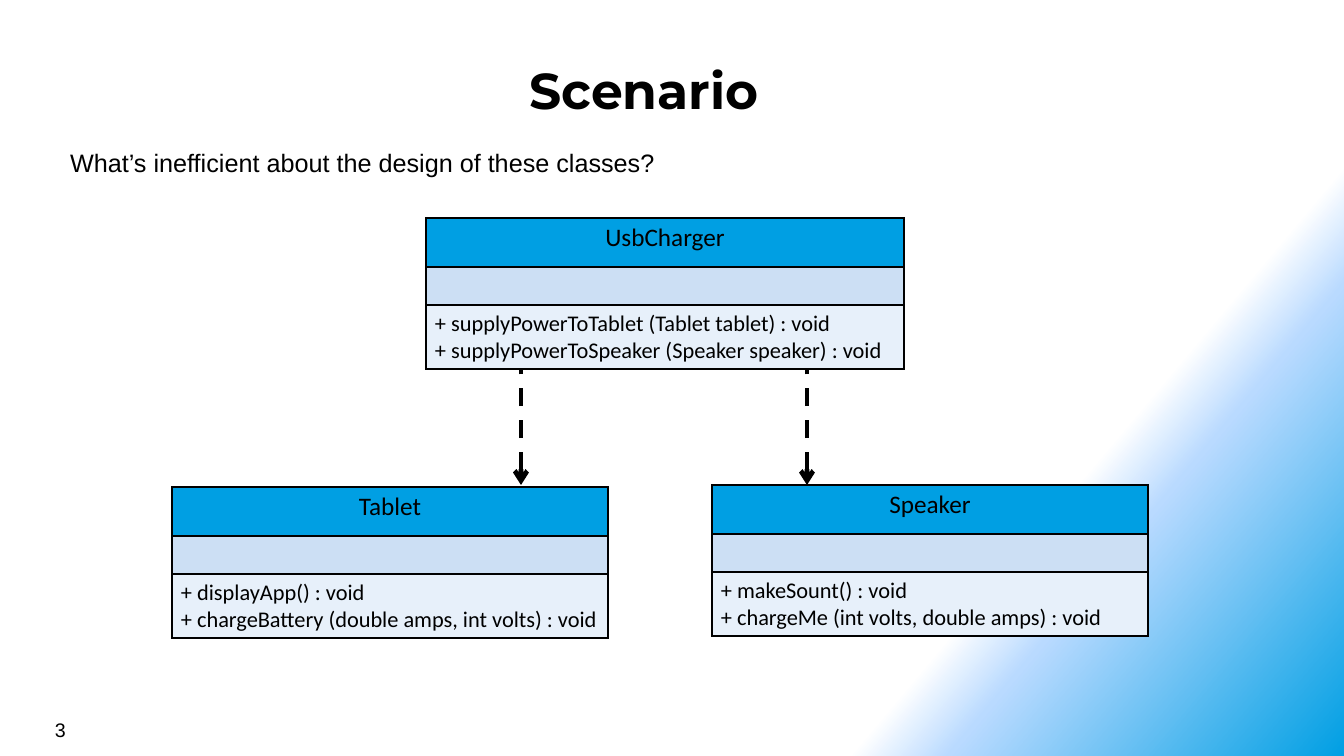
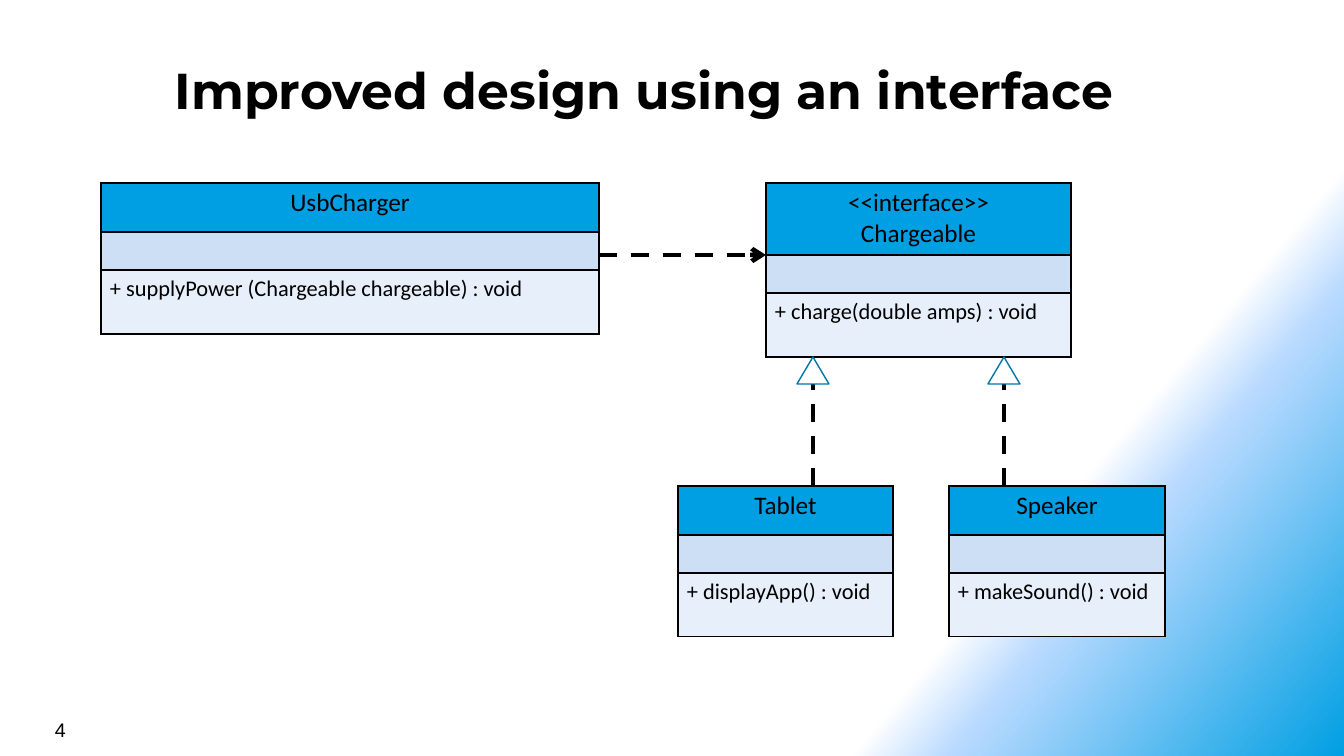
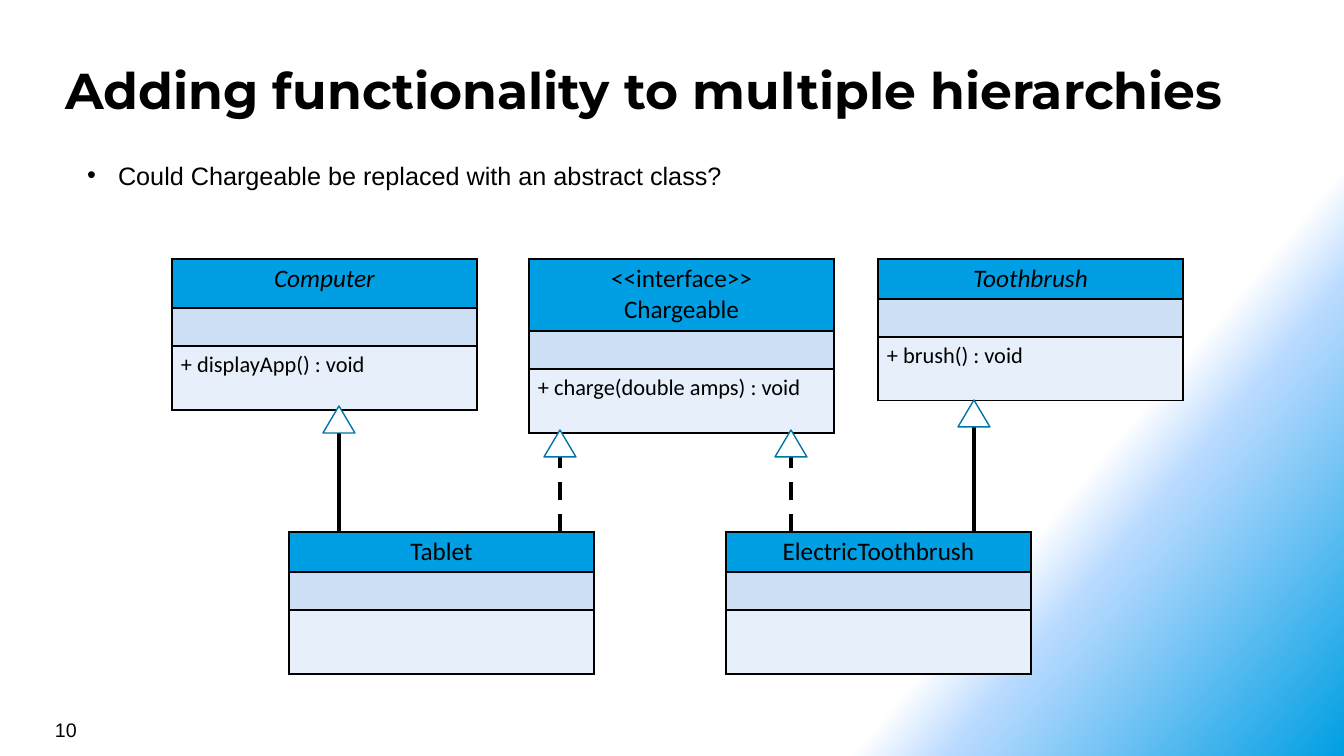
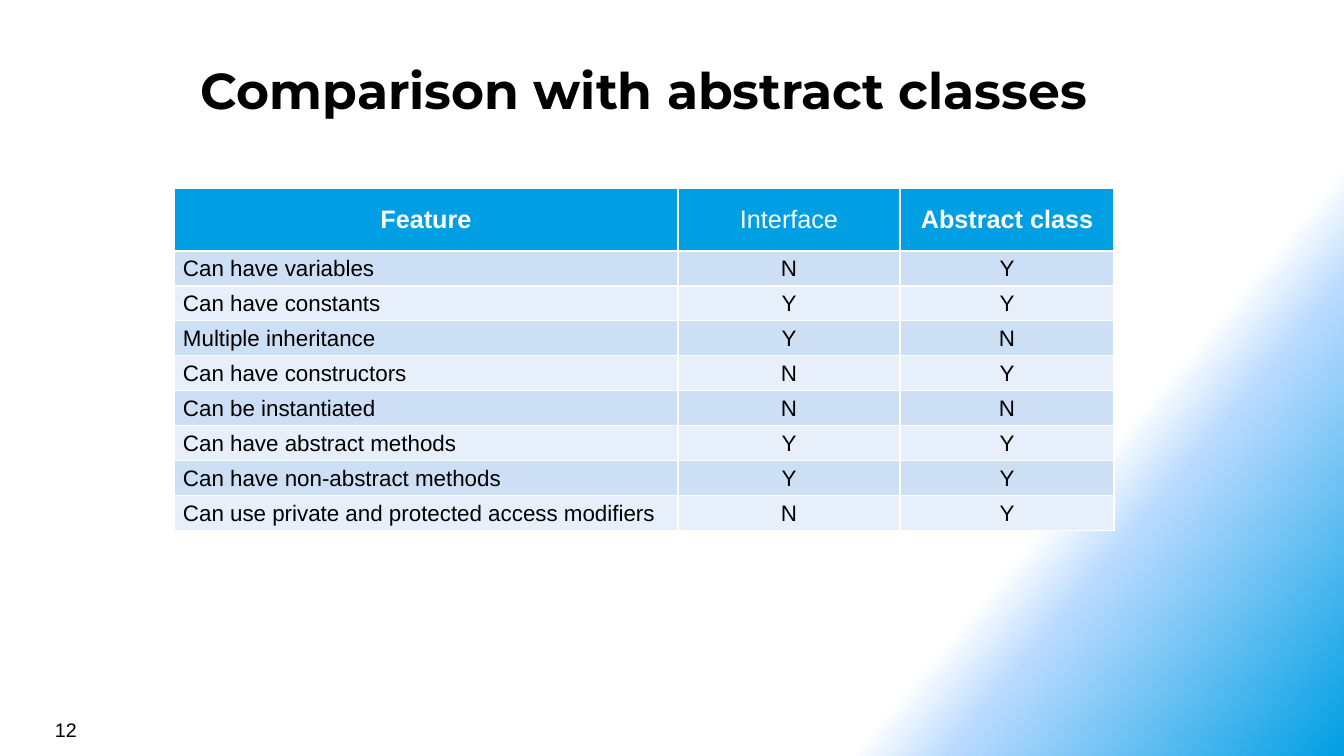
from lxml import etree
from pptx import Presentation
from pptx.dml.color import RGBColor
from pptx.enum.dml import MSO_LINE
from pptx.enum.shapes import MSO_CONNECTOR, MSO_SHAPE
from pptx.enum.text import MSO_ANCHOR, MSO_AUTO_SIZE, PP_ALIGN
from pptx.oxml import parse_xml
from pptx.oxml.ns import nsdecls, qn
from pptx.util import Pt

BLACK = RGBColor(0x00, 0x00, 0x00)
WHITE = RGBColor(0xFF, 0xFF, 0xFF)
BLUE = RGBColor(0x00, 0x9F, 0xE3)
SKY = RGBColor(0xB9, 0xDA, 0xFF)
PALE = RGBColor(0xCC, 0xDF, 0xF4)
PALEST = RGBColor(0xE7, 0xF0, 0xFA)
OUTLINE = RGBColor(0x00, 0x76, 0xA8)

LEFT, CENTER = PP_ALIGN.LEFT, PP_ALIGN.CENTER
TOP, MIDDLE = MSO_ANCHOR.TOP, MSO_ANCHOR.MIDDLE
NO_AUTOSIZE = MSO_AUTO_SIZE.NONE
STRAIGHT, TRIANGLE, DASH = MSO_CONNECTOR.STRAIGHT, MSO_SHAPE.ISOSCELES_TRIANGLE, MSO_LINE.DASH

TITLE_FONT, BODY_FONT, CLASS_FONT = "Montserrat", "Arial", "Calibri"
WIDTH, HEIGHT = 1344, 756
EMU_PER_PIXEL = 914400 / 100.8
CONTENT_LAYOUT, TITLE_LAYOUT = 1, 5
ONE_LINE, TIGHT_LINE, TWO_LINES = 49, 40, 72
CLASS_BOTTOM_ROWS = [38, 64]


def emu(pixels):
    return round(pixels * EMU_PER_PIXEL)


class Deck:
    def __init__(self):
        self.presentation = Presentation()
        self.presentation.slide_width = emu(WIDTH)
        self.presentation.slide_height = emu(HEIGHT)
        self.slide = None
        self.paint_background()

    def paint_background(self):
        background = parse_xml(
            f'<p:bg {nsdecls("p", "a")}><p:bgPr><a:gradFill><a:gsLst>'
            f'<a:gs pos="75000"><a:srgbClr val="{WHITE}"/></a:gs>'
            f'<a:gs pos="80000"><a:srgbClr val="{SKY}"><a:alpha val="50000"/></a:srgbClr></a:gs>'
            f'<a:gs pos="100000"><a:srgbClr val="{BLUE}"/></a:gs>'
            '</a:gsLst><a:lin ang="2400000" scaled="0"/></a:gradFill>'
            '<a:effectLst/></p:bgPr></p:bg>'
        )
        content = self.presentation.slide_master.element.find(qn("p:cSld"))
        for existing in content.findall(qn("p:bg")):
            content.remove(existing)
        content.insert(0, background)

    def add_slide(self, title, number, layout=TITLE_LAYOUT):
        self.slide = self.presentation.slides.add_slide(self.presentation.slide_layouts[layout])
        frame = self.place(self.slide.shapes.title, 26, 51, 1236, 55)
        frame.margin_left = frame.margin_right = frame.margin_top = frame.margin_bottom = emu(8)
        self.add_lines(frame, [title], TITLE_FONT, 36, align=CENTER, bold=True)
        box = self.slide.shapes.add_textbox(0, 0, 0, 0)
        self.add_lines(self.place(box, 45, 713, 313, 33), [str(number)], BODY_FONT, 14)

    def place(self, shape, left, top, width, height):
        shape.left, shape.top = emu(left), emu(top)
        shape.width, shape.height = emu(width), emu(height)
        frame = shape.text_frame
        frame.word_wrap = True
        frame.auto_size = NO_AUTOSIZE
        frame.vertical_anchor = TOP
        return frame

    def add_lines(self, frame, lines, font, size, color=BLACK, align=LEFT, bold=False, italic=False):
        for index, line in enumerate(lines):
            paragraph = frame.add_paragraph() if index else frame.paragraphs[0]
            paragraph.alignment = align
            paragraph.space_before = Pt(0)
            run = paragraph.add_run()
            run.text = line
            run.font.name = font
            run.font.size = Pt(size)
            run.font.color.rgb = color
            run.font.bold = bold
            run.font.italic = italic

    def body(self, text, left, top, width, bulleted=False):
        frame = self.place(self.slide.placeholders[1], left, top, width, 40)
        self.add_lines(frame, [text], BODY_FONT, 18)
        properties = frame.paragraphs[0]._p.get_or_add_pPr()
        indent = emu(31) if bulleted else 0
        properties.set("marL", str(indent))
        properties.set("indent", str(-indent))
        if bulleted:
            etree.SubElement(properties, qn("a:buChar"), char="•")
        else:
            etree.SubElement(properties, qn("a:buNone"))

    def table(self, left, top, columns, rows):
        frame = self.slide.shapes.add_table(
            len(rows), len(columns), emu(left), emu(top), emu(sum(columns)), emu(sum(rows))
        )
        table = frame.table
        table.first_row = table.horz_banding = False
        for column, width in zip(table.columns, columns):
            column.width = emu(width)
        for row, height in zip(table.rows, rows):
            row.height = emu(height)
        return table

    def style_cell(self, cell, fill, border, anchor=TOP):
        cell.margin_left = cell.margin_right = emu(9)
        cell.margin_top, cell.margin_bottom = emu(5), emu(4)
        cell.vertical_anchor = anchor
        properties = cell._tc.get_or_add_tcPr()
        for side in ("lnL", "lnR", "lnT", "lnB"):
            properties.append(parse_xml(
                f'<a:{side} {nsdecls("a")} w="12700"><a:solidFill>'
                f'<a:srgbClr val="{border}"/></a:solidFill></a:{side}>'
            ))
        cell.fill.solid()
        cell.fill.fore_color.rgb = fill

    def class_box(self, left, top, width, names, methods=(), header=ONE_LINE, abstract=False):
        table = self.table(left, top, [width], [header] + CLASS_BOTTOM_ROWS)
        cells = [table.cell(row, 0) for row in range(3)]
        for cell, fill in zip(cells, (BLUE, PALE, PALEST)):
            self.style_cell(cell, fill, BLACK)
        self.add_lines(cells[0].text_frame, names, CLASS_FONT, 18, align=CENTER, italic=abstract)
        self.add_lines(cells[2].text_frame, methods, CLASS_FONT, 16)
        for cell in cells:
            if not cell.text_frame.text:
                paragraph = cell.text_frame.paragraphs[0]
                etree.SubElement(paragraph._p, qn("a:endParaRPr"), sz="1600")

    def comparison(self, left, top, columns, headings, features):
        table = self.table(left, top, columns, [63] + [35] * len(features))
        for column, (heading, bold) in enumerate(headings):
            cell = table.cell(0, column)
            self.style_cell(cell, BLUE, WHITE, MIDDLE)
            self.add_lines(cell.text_frame, [heading], BODY_FONT, 18, WHITE, CENTER, bold)
        for row, values in enumerate(features, 1):
            for column, value in enumerate(values):
                cell = table.cell(row, column)
                self.style_cell(cell, PALE if row % 2 else PALEST, WHITE, MIDDLE)
                align = CENTER if column else LEFT
                self.add_lines(cell.text_frame, [value], BODY_FONT, 16, align=align)

    def line(self, start, end, dashed=True, arrow_end="tailEnd", arrow="arrow"):
        connector = self.slide.shapes.add_connector(
            STRAIGHT, *(emu(value) for value in start + end)
        )
        connector.line.color.rgb = BLACK
        connector.line.width = Pt(3.25)
        if dashed:
            connector.line.dash_style = DASH
        properties = connector._element.spPr
        etree.SubElement(properties.find(qn("a:ln")), qn(f"a:{arrow_end}"), type=arrow)
        etree.SubElement(properties, qn("a:effectLst"))

    def inheritance(self, center, child_top, parent_bottom, dashed=True):
        self.line((center, child_top), (center, parent_bottom), dashed, arrow="triangle")
        triangle = self.slide.shapes.add_shape(
            TRIANGLE, emu(center - 16), emu(parent_bottom), emu(32), emu(27)
        )
        triangle.shadow.inherit = False
        triangle.fill.solid()
        triangle.fill.fore_color.rgb = WHITE
        triangle.line.color.rgb = OUTLINE
        triangle.line.width = Pt(1)


deck = Deck()
interface_names = ["<<interface>>", "Chargeable"]
charge_methods = ["+ charge(double amps) : void"]

deck.add_slide("Scenario", 3, CONTENT_LAYOUT)
deck.body("What’s inefficient about the design of these classes?", 60, 142, 905)
deck.class_box(426, 218, 478, ["UsbCharger"], [
    "+ supplyPowerToTablet (Tablet tablet) : void",
    "+ supplyPowerToSpeaker (Speaker speaker) : void",
])
deck.class_box(172, 487, 436, ["Tablet"], [
    "+ displayApp() : void",
    "+ chargeBattery (double amps, int volts) : void",
])
deck.class_box(712, 485, 436, ["Speaker"], [
    "+ makeSount() : void",
    "+ chargeMe (int volts, double amps) : void",
])
for center in (521, 807):
    deck.line((center, 485), (center, 368), arrow_end="headEnd")

deck.add_slide("Improved design using an interface", 4)
deck.class_box(101, 183, 498, ["UsbCharger"], ["+ supplyPower (Chargeable chargeable) : void"])
deck.class_box(678, 486, 215, ["Tablet"], ["+ displayApp() : void"])
deck.class_box(949, 486, 216, ["Speaker"], ["+ makeSound() : void"])
deck.class_box(766, 183, 305, interface_names, charge_methods, TWO_LINES)
deck.line((599, 255), (766, 255))
for center in (813, 1004):
    deck.inheritance(center, 486, 357)

deck.add_slide("Adding functionality to multiple hierarchies", 10, CONTENT_LAYOUT)
deck.body("Could Chargeable be replaced with an abstract class?", 77, 155, 1055, bulleted=True)
deck.class_box(529, 259, 305, interface_names, charge_methods, TWO_LINES)
deck.class_box(172, 259, 305, ["Computer"], ["+ displayApp() : void"], abstract=True)
deck.class_box(878, 259, 305, ["Toothbrush"], ["+ brush() : void"], TIGHT_LINE, abstract=True)
for left, name in ((289, "Tablet"), (726, "ElectricToothbrush")):
    deck.class_box(left, 532, 305, [name], header=TIGHT_LINE)
for center, parent_bottom, dashed in (
    (339, 406, False), (974, 400, False), (560, 430, True), (791, 430, True),
):
    deck.inheritance(center, 532, parent_bottom, dashed)

deck.add_slide("Comparison with abstract classes", 12)
deck.comparison(
    174, 188, [504, 222, 214],
    [("Feature", True), ("Interface", False), ("Abstract class", True)],
    [
        ("Can have variables", "N", "Y"),
        ("Can have constants", "Y", "Y"),
        ("Multiple inheritance", "Y", "N"),
        ("Can have constructors", "N", "Y"),
        ("Can be instantiated", "N", "N"),
        ("Can have abstract methods", "Y", "Y"),
        ("Can have non-abstract methods", "Y", "Y"),
        ("Can use private and protected access modifiers", "N", "Y"),
    ],
)

deck.presentation.save("out.pptx")
